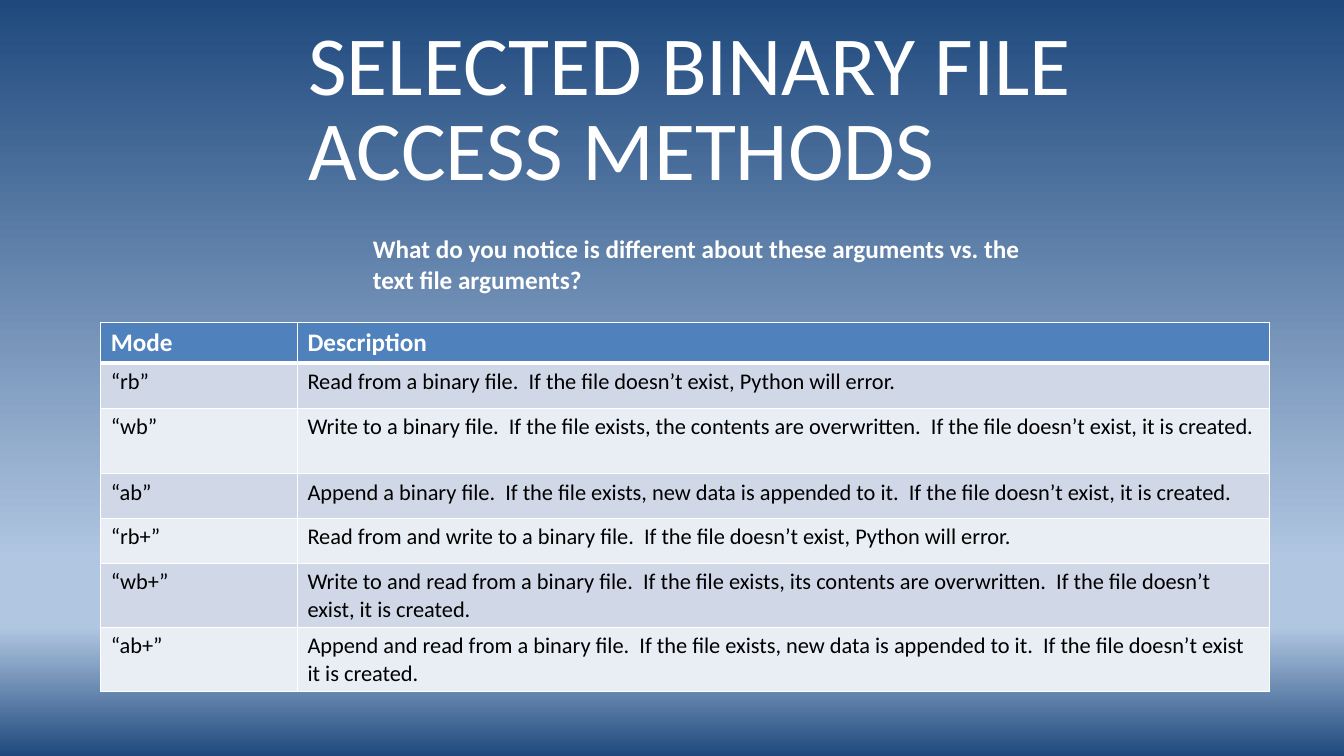
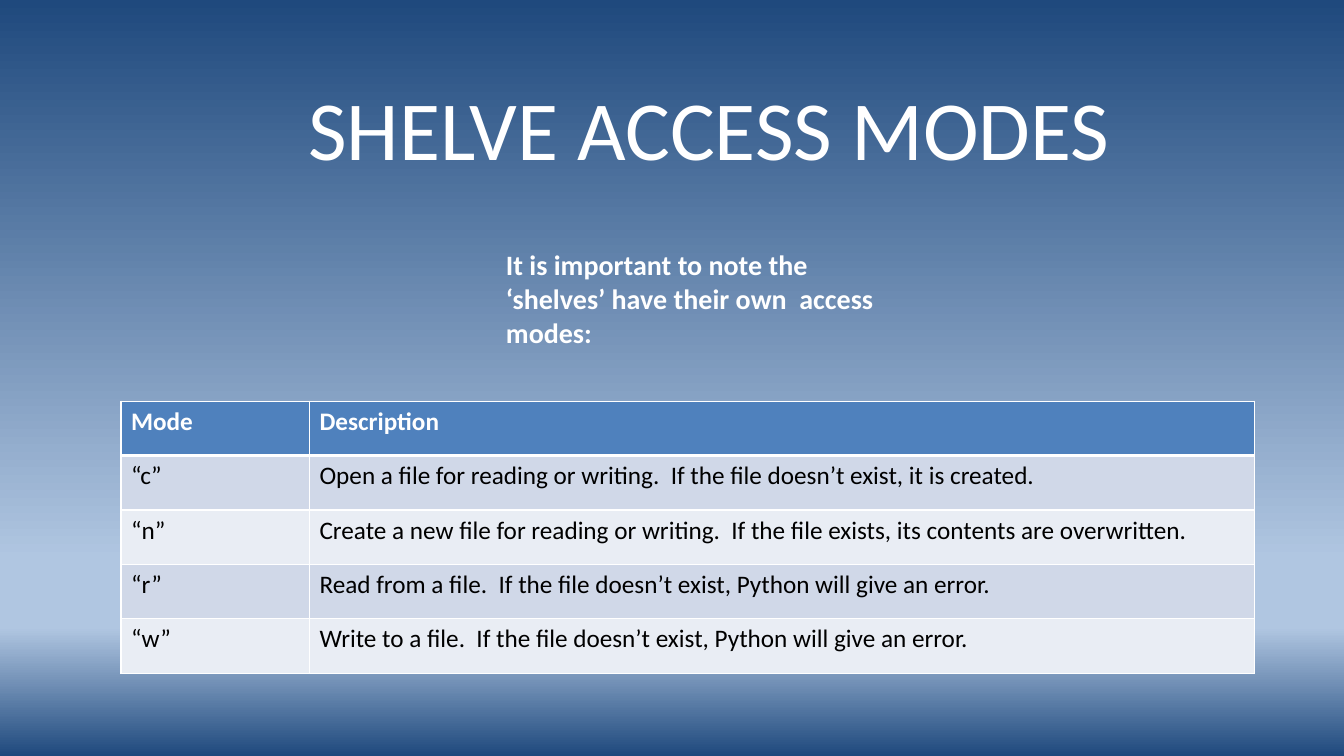
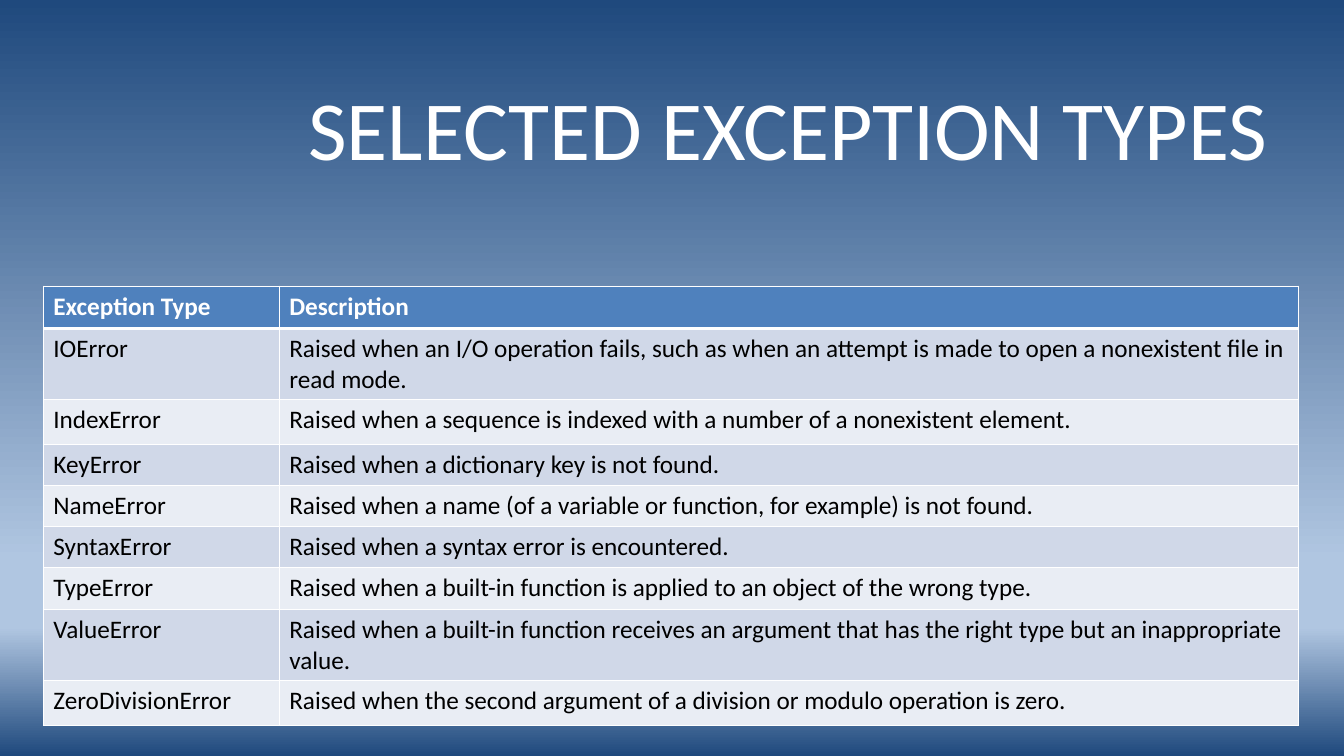
from lxml.etree import SubElement
from pptx import Presentation
from pptx.dml.color import RGBColor
from pptx.enum.text import MSO_ANCHOR
from pptx.oxml.ns import qn
from pptx.util import Inches, Pt

FONT = "Calibri"
NAVY = "1F497D"
SKY = "B0C6E1"
WHITE = "FFFFFF"
BLACK = "000000"
HEADER = "4F81BD"
BANDS = ("D0D8E8", "E9EDF4")
STOPS = ((0, NAVY), (74, SKY), (83, SKY), (100, NAVY))

FILE_MODES = (
    ("Mode", "Description"),
    ("“rb”", "Read from a binary file.  If the file doesn’t exist, Python will error."),
    ("“wb”", "Write to a binary file.  If the file exists, the contents are overwritten.  "
             "If the file doesn’t exist, it is created."),
    ("“ab”", "Append a binary file.  If the file exists, new data is appended to it.  "
             "If the file doesn’t exist, it is created."),
    ("“rb+”", "Read from and write to a binary file.  If the file doesn’t exist, Python will error."),
    ("“wb+”", "Write to and read from a binary file.  If the file exists, its contents are overwritten.  "
              "If the file doesn’t exist, it is created."),
    ("“ab+”", "Append and read from a binary file.  If the file exists, new data is appended to it.  "
              "If the file doesn’t exist it is created."),
)
SHELVE_MODES = (
    ("Mode", "Description"),
    ("“c”", "Open a file for reading or writing.  If the file doesn’t exist, it is created."),
    ("“n”", "Create a new file for reading or writing.  If the file exists, its contents are overwritten."),
    ("“r”", "Read from a file.  If the file doesn’t exist, Python will give an error."),
    ("“w”", "Write to a file.  If the file doesn’t exist, Python will give an error."),
)
EXCEPTIONS = (
    ("Exception Type", "Description"),
    ("IOError", "Raised when an I/O operation fails, such as when an attempt is made "
                "to open a nonexistent file in read mode."),
    ("IndexError", "Raised when a sequence is indexed with a number of a nonexistent element."),
    ("KeyError", "Raised when a dictionary key is not found."),
    ("NameError", "Raised when a name (of a variable or function, for example) is not found."),
    ("SyntaxError", "Raised when a syntax error is encountered."),
    ("TypeError", "Raised when a built-in function is applied to an object of the wrong type."),
    ("ValueError", "Raised when a built-in function receives an argument that has the right type "
                   "but an inappropriate value."),
    ("ZeroDivisionError", "Raised when the second argument of a division or modulo operation is zero."),
)


def rgb(color):
    return RGBColor.from_string(color)


def set_background(master):
    fill = master.background.fill
    fill.gradient()
    fill.gradient_angle = 270
    stops = next(master.element.iter(qn("a:gsLst")))
    for gs in list(stops):
        stops.remove(gs)
    for percent, color in STOPS:
        gs = SubElement(stops, qn("a:gs"), pos=str(percent * 1000))
        SubElement(gs, qn("a:srgbClr"), val=color)


def add_run(p, text, size, color=WHITE, bold=False):
    r = p.add_run()
    r.text = text
    r.font.name = FONT
    r.font.size = Pt(size)
    r.font.bold = bold
    r.font.color.rgb = rgb(color)


def add_text(s, text, left, top, width, height, size, bold=False):
    sp = s.shapes.add_textbox(Inches(left), Inches(top), Inches(width), Inches(height))
    tf = sp.text_frame
    tf.word_wrap = True
    add_run(tf.paragraphs[0], text, size, bold=bold)
    return tf


def add_title(s, text, top=0.51):
    tf = add_text(s, text, 2.96, top, 9.84, 1.65, 60)
    tf.vertical_anchor = MSO_ANCHOR.MIDDLE
    tf.paragraphs[0].line_spacing = 0.85


def set_borders(cell, top=1, bottom=1):
    tc_pr = cell._tc.get_or_add_tcPr()
    for side, width in (("L", 1), ("R", 1), ("T", top), ("B", bottom)):
        ln = SubElement(tc_pr, qn(f"a:ln{side}"), w=str(Pt(width)))
        fill = SubElement(ln, qn("a:solidFill"))
        SubElement(fill, qn("a:srgbClr"), val=WHITE)


def add_mode_table(s, rows, left, top, widths, heights, size=18):
    table = s.shapes.add_table(
        len(rows), len(widths), Inches(left), Inches(top),
        Inches(sum(widths)), Inches(sum(heights))).table
    for column, width in zip(table.columns, widths):
        column.width = Inches(width)
    for i, (texts, height) in enumerate(zip(rows, heights)):
        table.rows[i].height = Inches(height)
        head = i == 0
        for j, text in enumerate(texts):
            cell = table.cell(i, j)
            set_borders(cell, top=3 if i == 1 else 1, bottom=3 if head else 1)
            cell.fill.solid()
            cell.fill.fore_color.rgb = rgb(HEADER if head else BANDS[(i - 1) % 2])
            add_run(cell.text_frame.paragraphs[0], text, 18 if head else size,
                    WHITE if head else BLACK, head)


def add_slide(prs):
    return prs.slides.add_slide(prs.slide_layouts[6])


def main():
    prs = Presentation()
    prs.slide_width = Inches(13.33)
    prs.slide_height = Inches(7.5)
    set_background(prs.slide_master)

    s = add_slide(prs)
    add_title(s, "SELECTED BINARY FILE ACCESS METHODS", top=0.29)
    add_mode_table(s, FILE_MODES, 1, 3.2, (1.95, 9.64),
                   (0.39, 0.45, 0.65, 0.44, 0.45, 0.36, 0.38), size=16)
    add_text(s, "What do you notice is different about these arguments vs. the text file arguments?",
             3.6, 2.27, 6.91, 0.71, 18, bold=True)

    s = add_slide(prs)
    add_title(s, "SHELVE ACCESS MODES")
    add_mode_table(s, SHELVE_MODES, 1.2, 3.98, (1.87, 9.37), (0.54,) * 5)
    add_text(s, "It is important to note the ‘shelves’ have their own  access modes:",
             4.92, 2.41, 4.1, 1.11, 20, bold=True)

    s = add_slide(prs)
    add_title(s, "SELECTED EXCEPTION TYPES")
    add_mode_table(s, EXCEPTIONS, 0.43, 2.84, (2.34, 10.11),
                   (0.42, 0.67, 0.45, 0.41, 0.39, 0.41, 0.42, 0.45, 0.45))

    prs.save("out.pptx")


if __name__ == "__main__":
    main()
